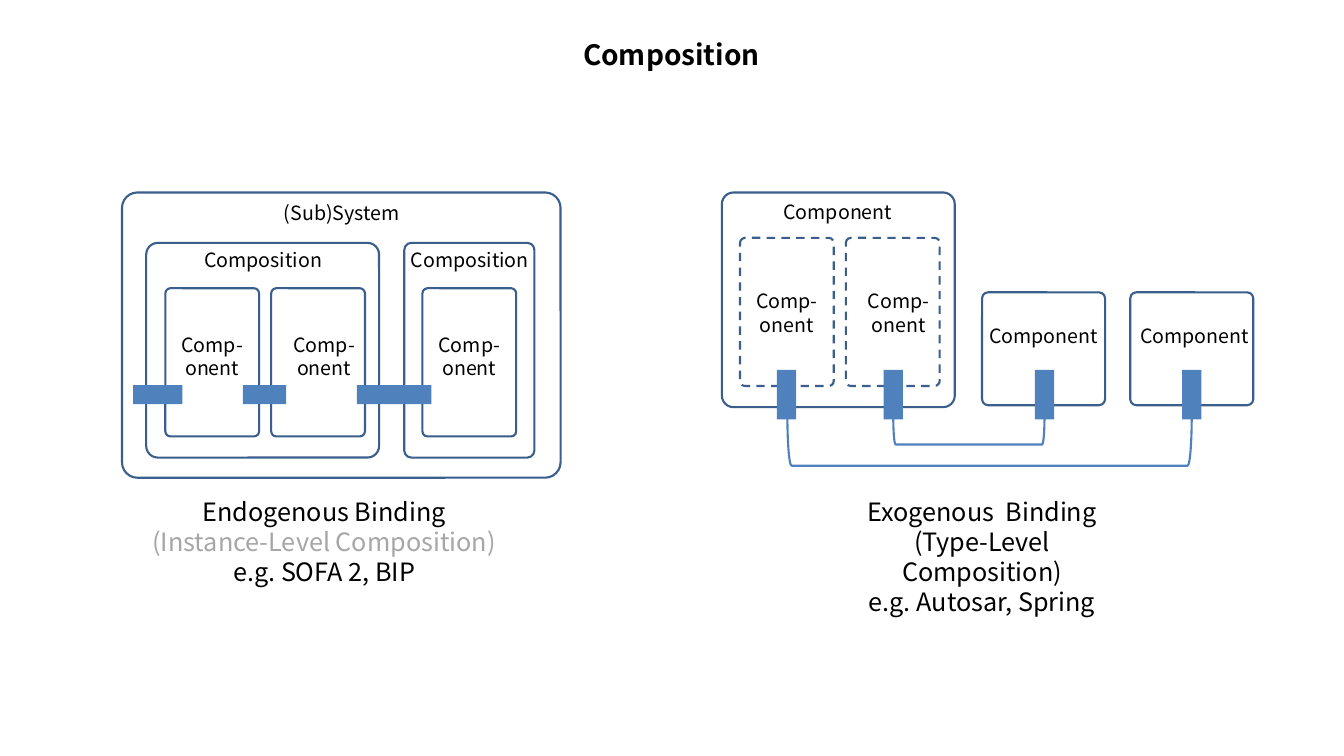
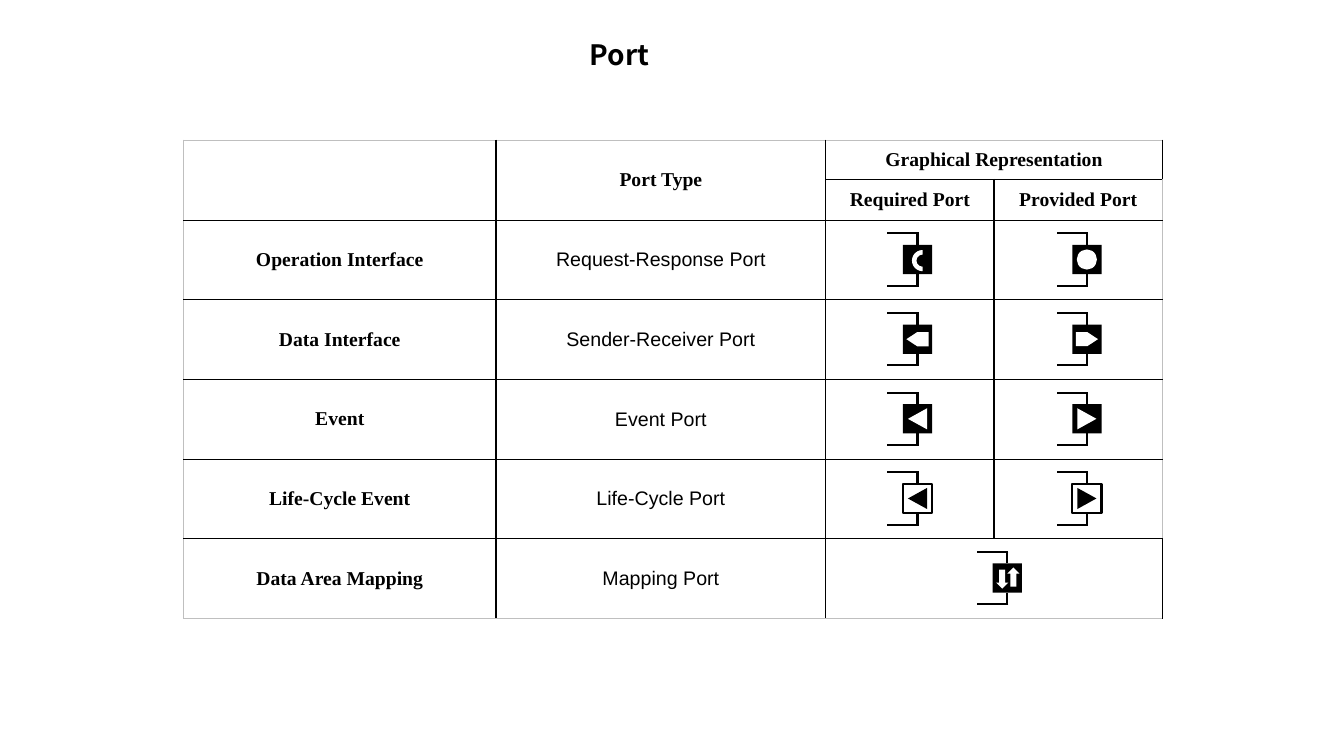
from lxml.etree import SubElement
from pptx import Presentation
from pptx.dml.color import RGBColor
from pptx.enum.dml import MSO_LINE
from pptx.enum.shapes import MSO_CONNECTOR, MSO_SHAPE
from pptx.enum.text import MSO_ANCHOR, MSO_AUTO_SIZE, PP_ALIGN
from pptx.oxml.ns import qn
from pptx.util import Inches, Pt

# Shared style
BLACK, WHITE, GREY, EDGE_GREY = "000000", "FFFFFF", "A6A6A6", "BFBFBF"
OUTLINE, BINDING = "3A5F8C", "4F81BD"
SANS, SERIF, PLAIN = "Noto Sans CJK SC", "Times New Roman", "Arial"
LINE_WIDTH = 1.5
TITLE_TOP, TITLE_HEIGHT = 0.32, 0.44
TITLE_FORMAT = {"name": SANS, "size": Pt(20), "bold": True}
LABEL_FORMAT = {"name": SANS, "size": Pt(14), "bold": False}
CAPTION_FORMAT = {"name": SANS, "size": Pt(18), "bold": False}
FRAME_FORMAT = {"word_wrap": True, "auto_size": MSO_AUTO_SIZE.NONE,
                "vertical_anchor": MSO_ANCHOR.TOP}

# Composition slide: boxes as (left, top, size, dashed)
COMPOSITE, PART, SINGLE = (2.31, 2.13), (0.93, 1.47), (1.22, 1.12)
BOXES = [
    (1.21, 1.91, (4.35, 2.83), False),
    (1.45, 2.41, COMPOSITE, False),
    (4.01, 2.41, (1.29, 2.13), False),
    (1.64, 2.86, PART, False),
    (2.69, 2.86, PART, False),
    (4.19, 2.86, PART, False),
    (7.16, 1.91, COMPOSITE, False),
    (7.34, 2.36, PART, True),
    (8.39, 2.36, PART, True),
    (9.74, 2.9, SINGLE, False),
    (11.21, 2.9, SINGLE, False),
]
WIDE_LABEL, NARROW_LABEL = (1.78, 0.34), (1.05, 0.57)
SPLIT_WORD = ["Comp-", "onent"]
LABELS = [
    (2.5, 1.94, WIDE_LABEL, ["(Sub)System"]),
    (1.72, 2.41, WIDE_LABEL, ["Composition"]),
    (3.77, 2.41, WIDE_LABEL, ["Composition"]),
    (1.58, 3.25, NARROW_LABEL, SPLIT_WORD),
    (2.69, 3.25, NARROW_LABEL, SPLIT_WORD),
    (4.13, 3.25, NARROW_LABEL, SPLIT_WORD),
    (7.42, 1.93, WIDE_LABEL, ["Component"]),
    (7.28, 2.82, NARROW_LABEL, SPLIT_WORD),
    (8.39, 2.82, NARROW_LABEL, SPLIT_WORD),
    (9.46, 3.16, WIDE_LABEL, ["Component"]),
    (10.96, 3.16, WIDE_LABEL, ["Component"]),
]
CAPTIONS = [
    (1.39, 3.65, ["Endogenous Binding", "(Instance-Level Composition)", "e.g. SOFA 2, BIP"],
     [BLACK, GREY, BLACK]),
    (8.2, 3.08, ["Exogenous  Binding", "(Type-Level Composition)", "e.g. Autosar, Spring"],
     [BLACK] * 3),
]
CAPTION_TOP, CAPTION_HEIGHT = 4.87, 1.01
PORT_MIDDLE, PORT_THICKNESS, PORT_LENGTH = 3.915, 0.19, 0.49
FLAT_PORTS = [(1.32, 0.49), (2.41, 0.43), (3.54, 0.74)]  # left, width
UPRIGHT_PORTS = [7.8, 8.86, 10.36, 11.82]  # centre
BRACKETS = [(9.815, 4.375, 0.49, 4.01), (9.61, 4.27, 0.28, 1.5)]  # centre, size

# Port slide
TABLE_LEFT, TABLE_TOP = 1.82, 1.39
COLUMN_WIDTHS = [3.1, 3.27, 1.67, 1.67]
HEADER_HEIGHT, ROW_HEIGHT, HEADER_ROWS = 0.39, 0.79, 2
TABLE_ROWS = [
    ["", "Port Type", "Graphical Representation", ""],
    ["", "", "Required Port", "Provided Port"],
    ["Operation Interface", "Request-Response Port", "", ""],
    ["Data Interface", "Sender-Receiver Port", "", ""],
    ["Event", "Event Port", "", ""],
    ["Life-Cycle Event", "Life-Cycle Port", "", ""],
    ["Data Area Mapping", "Mapping Port", "", ""],
]
MERGES = [((0, 0), (1, 0)), ((0, 1), (1, 1)), ((0, 2), (0, 3)), ((6, 2), (6, 3))]
REQUIRED_X, PROVIDED_X, MAPPING_X = 9.1, 10.78, 9.99
ICON_SIZE, STEM_END, STUB_LENGTH = 0.29, 0.26, 0.31
# Symbols as (shape, x offset, y offset, width, height, rotation, adjustments)
ARC = (MSO_SHAPE.BLOCK_ARC, 0.05, 0.01, 0.21, 0.21, 270, [108, 216, 0.211])
DISC = (MSO_SHAPE.OVAL, 0, 0, 0.2, 0.2, 0, [])
DATA_IN = (MSO_SHAPE.PENTAGON, 0, 0, 0.22, 0.14, 180, [0.76])
DATA_OUT = (MSO_SHAPE.PENTAGON, 0, 0, 0.22, 0.14, 0, [0.76])
EVENT_IN = (MSO_SHAPE.ISOSCELES_TRIANGLE, 0, 0, 0.21, 0.19, 270, [])
EVENT_OUT = (MSO_SHAPE.ISOSCELES_TRIANGLE, 0, 0, 0.21, 0.19, 90, [])
ARROW_DOWN = (MSO_SHAPE.RIGHT_ARROW, -0.05, 0.01, 0.19, 0.12, 90, [])
ARROW_UP = (MSO_SHAPE.RIGHT_ARROW, 0.06, -0.01, 0.19, 0.12, 270, [])
# Icons as (body row, centre, symbols, inverted)
ICONS = [
    (0, REQUIRED_X, [ARC], False), (0, PROVIDED_X, [DISC], False),
    (1, REQUIRED_X, [DATA_IN], False), (1, PROVIDED_X, [DATA_OUT], False),
    (2, REQUIRED_X, [EVENT_IN], False), (2, PROVIDED_X, [EVENT_OUT], False),
    (3, REQUIRED_X, [EVENT_IN], True), (3, PROVIDED_X, [EVENT_OUT], True),
    (4, MAPPING_X, [ARROW_DOWN, ARROW_UP], False),
]


def color(value):
    return RGBColor.from_string(value)


def apply_format(target, values):
    for name, value in values.items():
        setattr(target, name, value)


def write_text(frame, lines, font_format, colors=None, alignment=PP_ALIGN.CENTER):
    for index, line in enumerate(lines):
        paragraph = frame.paragraphs[0] if index == 0 else frame.add_paragraph()
        paragraph.alignment = alignment
        run = paragraph.add_run()
        run.text = line
        apply_format(run.font, font_format)
        run.font.color.rgb = color(colors[index] if colors else BLACK)


def add_title_slide(presentation, text, left, width, alignment):
    slide = presentation.slides.add_slide(presentation.slide_layouts[5])
    title = slide.shapes.title
    apply_format(title, {"left": Inches(left), "top": Inches(TITLE_TOP),
                         "width": Inches(width), "height": Inches(TITLE_HEIGHT)})
    apply_format(title.text_frame, FRAME_FORMAT)
    write_text(title.text_frame, [text], TITLE_FORMAT, alignment=alignment)
    return slide


def add_text(slide, left, top, size, lines, font_format, colors=None):
    box = slide.shapes.add_textbox(Inches(left), Inches(top), *map(Inches, size))
    apply_format(box.text_frame, FRAME_FORMAT)
    write_text(box.text_frame, lines, font_format, colors)


def add_figure(shapes, kind, left, top, width, height, fill=None, line=None,
               rotation=0, adjustments=()):
    shape = shapes.add_shape(kind, Inches(left), Inches(top), Inches(width), Inches(height))
    shape.shadow.inherit = False
    shape.rotation = rotation
    for index, value in enumerate(adjustments):
        shape.adjustments[index] = value
    if fill:
        shape.fill.solid()
        shape.fill.fore_color.rgb = color(fill)
    else:
        shape.fill.background()
    if line:
        shape.line.color.rgb = color(line)
        shape.line.width = Pt(LINE_WIDTH)
    else:
        shape.line.fill.background()
    return shape


def add_centred(shapes, kind, x, y, width, height, **style):
    return add_figure(shapes, kind, x - width / 2, y - height / 2, width, height, **style)


def add_line(shapes, start, end):
    line = shapes.add_connector(MSO_CONNECTOR.STRAIGHT, *map(Inches, start + end))
    line.line.color.rgb = color(BLACK)
    line.line.width = Pt(LINE_WIDTH)
    SubElement(line._element.spPr, qn("a:effectLst"))
    return line


def add_port_icon(slide, x, y, symbols, inverted):
    shapes = slide.shapes.add_group_shape().shapes
    back, front = (WHITE, BLACK) if inverted else (BLACK, WHITE)
    square = add_centred(shapes, MSO_SHAPE.RECTANGLE, x, y, ICON_SIZE, ICON_SIZE,
                         fill=back, line=BLACK if inverted else None)
    for kind, dx, dy, width, height, rotation, adjustments in symbols:
        add_centred(shapes, kind, x + dx, y + dy, width, height, fill=front,
                    rotation=rotation, adjustments=adjustments)
    for direction, site in ((-1, 0), (1, 2)):
        end_y = y + direction * STEM_END
        stem = add_line(shapes, (x, y + direction * ICON_SIZE / 2), (x, end_y))
        stem.begin_connect(square, site)
        add_line(shapes, (x + 0.01, end_y), (x + 0.01 - STUB_LENGTH, end_y))


def set_borders(cell, row, column):
    outer = {"a:lnL": column == 0, "a:lnR": column == len(COLUMN_WIDTHS) - 1,
             "a:lnT": row == 0, "a:lnB": row == len(TABLE_ROWS) - 1}
    properties = cell._tc.get_or_add_tcPr()
    for index, (tag, is_outer) in enumerate(outer.items()):
        border = properties.makeelement(qn(tag), {"w": str(Pt(0.75 if is_outer else 1))})
        fill = SubElement(border, qn("a:solidFill"))
        SubElement(fill, qn("a:srgbClr"), val=EDGE_GREY if is_outer else BLACK)
        properties.insert(index, border)


def build_composition(presentation):
    slide = add_title_slide(presentation, "Composition", 5.56, 2.2, PP_ALIGN.CENTER)
    # Nested components
    for left, top, size, dashed in BOXES:
        box = add_figure(slide.shapes, MSO_SHAPE.ROUNDED_RECTANGLE, left, top, *size,
                         line=OUTLINE, adjustments=[0.054])
        if dashed:
            box.line.dash_style = MSO_LINE.DASH
    for left, top, size, lines in LABELS:
        add_text(slide, left, top, size, lines, LABEL_FORMAT)
    # Bindings
    for left, width in FLAT_PORTS:
        add_figure(slide.shapes, MSO_SHAPE.RECTANGLE, left, PORT_MIDDLE - PORT_THICKNESS / 2,
                   width, PORT_THICKNESS, fill=BINDING)
    for x in UPRIGHT_PORTS:
        add_centred(slide.shapes, MSO_SHAPE.RECTANGLE, x, PORT_MIDDLE,
                    PORT_THICKNESS, PORT_LENGTH, fill=BINDING)
    for bracket in BRACKETS:
        add_centred(slide.shapes, MSO_SHAPE.LEFT_BRACKET, *bracket, line=BINDING, rotation=270)
    for left, width, lines, colors in CAPTIONS:
        add_text(slide, left, CAPTION_TOP, (width, CAPTION_HEIGHT), lines,
                 CAPTION_FORMAT, colors)


def build_ports(presentation):
    slide = add_title_slide(presentation, "Port", 5.75, 1.82, PP_ALIGN.LEFT)
    # Table
    heights = [HEADER_HEIGHT if row < HEADER_ROWS else ROW_HEIGHT
               for row in range(len(TABLE_ROWS))]
    table = slide.shapes.add_table(
        len(TABLE_ROWS), len(COLUMN_WIDTHS), Inches(TABLE_LEFT), Inches(TABLE_TOP),
        Inches(sum(COLUMN_WIDTHS)), Inches(sum(heights))).table
    apply_format(table, {"first_row": False, "horz_banding": False})
    for column, width in zip(table.columns, COLUMN_WIDTHS):
        column.width = Inches(width)
    for row, texts in enumerate(TABLE_ROWS):
        table.rows[row].height = Inches(heights[row])
        for column, text in enumerate(texts):
            cell = table.cell(row, column)
            cell.vertical_anchor = MSO_ANCHOR.MIDDLE
            cell.fill.solid()
            cell.fill.fore_color.rgb = color(WHITE)
            set_borders(cell, row, column)
            if text:
                plain = row >= HEADER_ROWS and column == 1
                write_text(cell.text_frame, [text],
                           {"name": PLAIN if plain else SERIF, "size": Pt(14),
                            "bold": not plain})
    for first, last in MERGES:
        table.cell(*first).merge(table.cell(*last))
    # Port icons, centred in their rows
    body_top = TABLE_TOP + HEADER_ROWS * HEADER_HEIGHT
    for row, x, symbols, inverted in ICONS:
        y = body_top + (row + 0.5) * ROW_HEIGHT + 0.01
        add_port_icon(slide, x, y, symbols, inverted)


def main():
    presentation = Presentation()
    apply_format(presentation, {"slide_width": Inches(13.33), "slide_height": Inches(7.5)})
    build_composition(presentation)
    build_ports(presentation)
    presentation.save("out.pptx")


if __name__ == "__main__":
    main()
